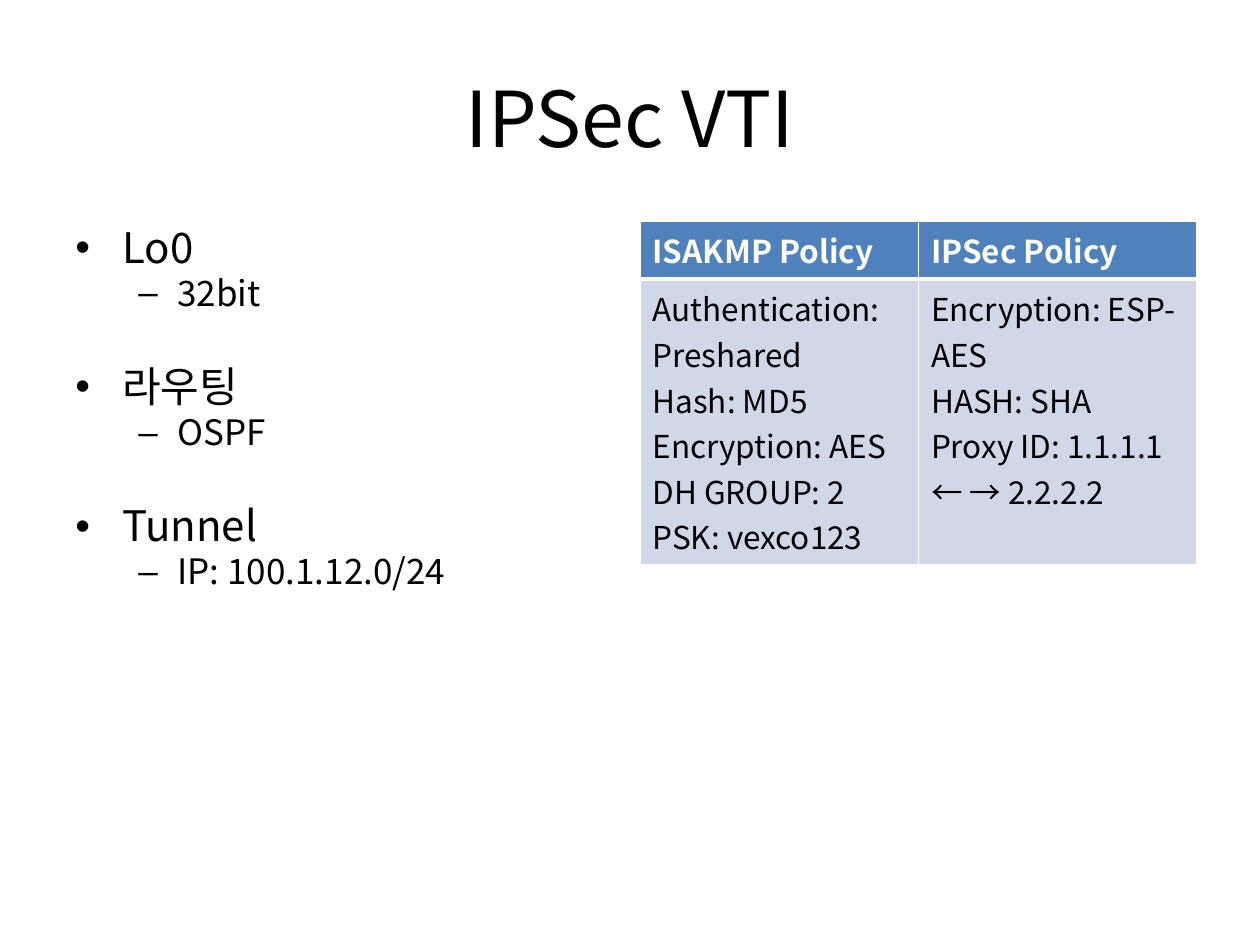
from lxml.etree import SubElement
from pptx import Presentation
from pptx.dml.color import RGBColor
from pptx.enum.text import MSO_ANCHOR as ANCHOR, PP_ALIGN as ALIGN
from pptx.oxml.ns import qn
from pptx.util import Emu, Pt

FONT = "Noto Sans CJK KR"
BLACK, WHITE, BLUE, PALE = "000000", "FFFFFF", "4F81BD", "D0D8E8"
TOPICS = [("Lo0", "32bit"), ("라우팅", "OSPF"), ("Tunnel", "IP: 100.1.12.0/24")]
POLICIES = [
    ("ISAKMP Policy", ["Authentication: Preshared", "Hash: MD5", "Encryption: AES",
                       "DH GROUP: 2", "PSK: vexco123"]),
    ("IPSec Policy", ["Encryption: ESP-AES", "HASH: SHA",
                      "Proxy ID: 1.1.1.1 ← → 2.2.2.2"]),
]


def px(n):
    """Turn pixels into EMU."""
    return Emu(round(n * 914400 / 126))


def rgb(code):
    """Turn a hex string into a colour."""
    return RGBColor.from_string(code)


def add_run(p, text, size, color=BLACK, bold=False):
    """Add one run of styled text."""
    r = p.add_run()
    r.text = text
    r.font.name, r.font.size, r.font.bold = FONT, Pt(size), bold
    r.font.color.rgb = rgb(color)
    SubElement(r.font._element, qn("a:ea"), typeface=FONT)


def next_paragraph(tf, first):
    """Return the opening paragraph or a new one."""
    return tf.paragraphs[0] if first else tf.add_paragraph()


def add_box(s, x, y, w, h, anchor=ANCHOR.TOP):
    """Add a wrapping text box and return its frame."""
    tf = s.shapes.add_textbox(px(x), px(y), px(w), px(h)).text_frame
    tf.word_wrap, tf.vertical_anchor = True, anchor
    return tf


def add_bullet(p, char, left, hang):
    """Give a paragraph a hanging bullet."""
    pPr = p._p.get_or_add_pPr()
    pPr.set("marL", str(px(left)))
    pPr.set("indent", str(-px(hang)))
    SubElement(pPr, qn("a:buFont"), typeface="Arial")
    SubElement(pPr, qn("a:buChar"), char=char)


def add_topics(s):
    """Add the two-level list of topics."""
    tf = add_box(s, 63, 221, 557, 624)
    for i, (topic, detail) in enumerate(TOPICS):
        p = next_paragraph(tf, i == 0)
        add_bullet(p, "•", 47, 47)
        p.line_spacing, p.space_before = 0.9, Pt(30 if i else 0)
        add_run(p, topic, 24)
        p = tf.add_paragraph()
        add_bullet(p, "–", 102, 39)
        p.level, p.line_spacing, p.space_before = 1, 0.9, Pt(2)
        add_run(p, detail, 20)


def set_borders(cell, **widths):
    """Draw white cell borders with widths in points."""
    tcPr = cell._tc.get_or_add_tcPr()
    for i, side in enumerate("LRTB"):
        ln = tcPr.makeelement(qn(f"a:ln{side}"), w=str(Pt(widths.get(side, 1))))
        fill = SubElement(ln, qn("a:solidFill"))
        SubElement(fill, qn("a:srgbClr"), val=WHITE)
        tcPr.insert(i, ln)


def fill_cell(cell, lines, fill, color, bold):
    """Fill a cell with colour and lines of text."""
    cell.fill.solid()
    cell.fill.fore_color.rgb = rgb(fill)
    for i, line in enumerate(lines):
        add_run(next_paragraph(cell.text_frame, i == 0), line, 18, color, bold)


def add_policies(s):
    """Add the table of policies."""
    table = s.shapes.add_table(2, 2, px(640), px(221), px(557), px(344)).table
    table.rows[0].height, table.rows[1].height = px(58), px(286)
    for c, (name, settings) in enumerate(POLICIES):
        head, body = table.cell(0, c), table.cell(1, c)
        fill_cell(head, [name], BLUE, WHITE, True)
        set_borders(head, B=3)
        fill_cell(body, settings, PALE, BLACK, False)
        set_borders(body, T=3)


def main():
    """Build the slide and save it."""
    prs = Presentation()
    prs.slide_width, prs.slide_height = px(1260), px(945)
    s = prs.slides.add_slide(prs.slide_layouts[6])
    p = add_box(s, 63, 38, 1134, 158, ANCHOR.MIDDLE).paragraphs[0]
    p.alignment = ALIGN.CENTER
    add_run(p, "IPSec VTI", 44)
    add_topics(s)
    add_policies(s)
    prs.save("out.pptx")


if __name__ == "__main__":
    main()
